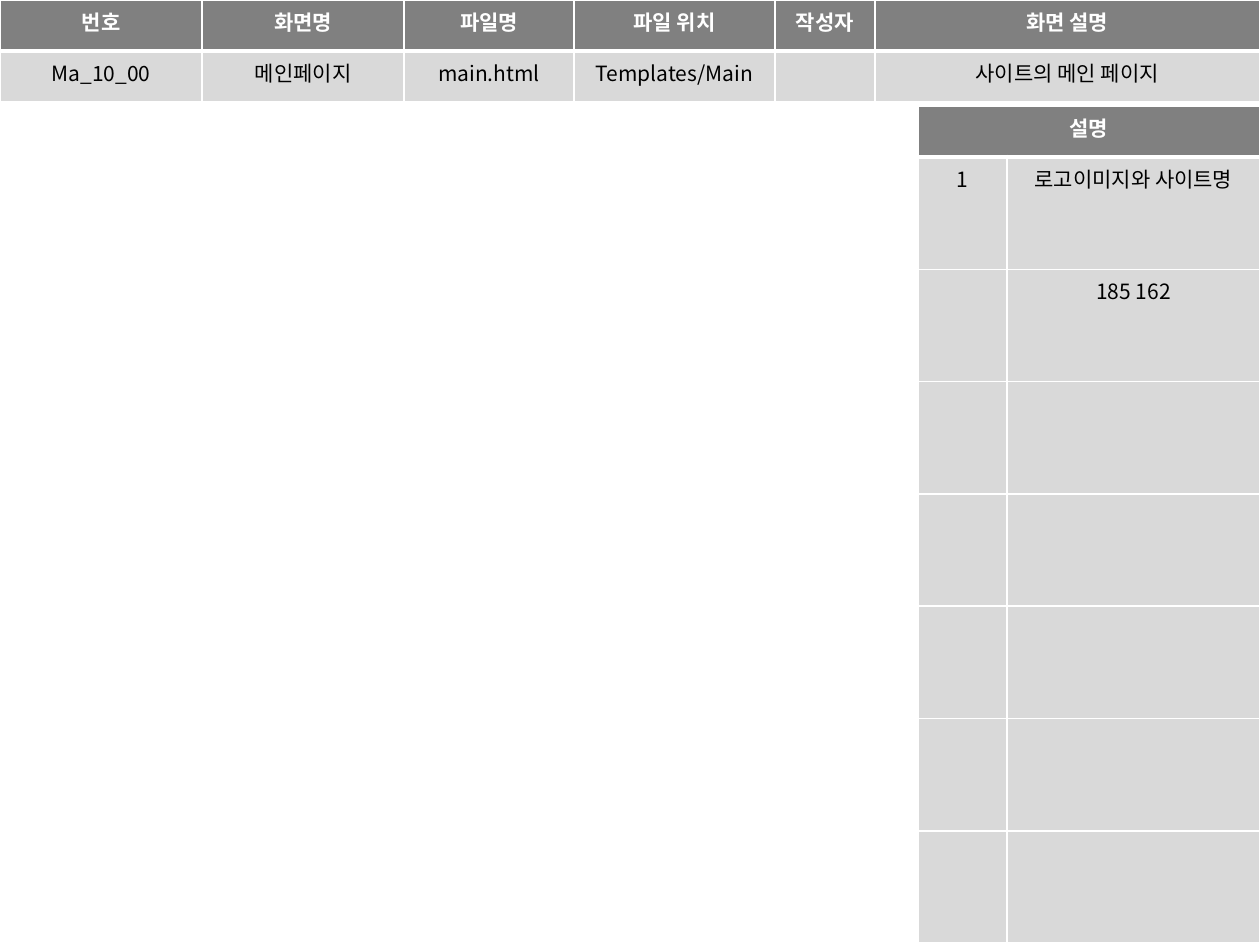
from lxml.etree import SubElement
from pptx import Presentation
from pptx.dml.color import RGBColor
from pptx.enum.text import PP_ALIGN as Align
from pptx.oxml.ns import qn
from pptx.util import Pt

FONT = "Noto Sans CJK KR"
WHITE, BLACK = "FFFFFF", "000000"
HEADER_GRAY, BODY_GRAY = "808080", "D9D9D9"
HEADER_HEIGHT = 29.2
TEXT_SIZE = 12


def color(hex_string):
    return RGBColor.from_string(hex_string)


def set_borders(cell, top, bottom):
    """Draw white borders, all 1 pt wide except the given top and bottom."""
    properties = cell._tc.get_or_add_tcPr()
    widths = {"a:lnL": 1, "a:lnR": 1, "a:lnT": top, "a:lnB": bottom}
    for tag, width in widths.items():
        line = SubElement(properties, qn(tag), w=str(Pt(width)))
        fill = SubElement(line, qn("a:solidFill"))
        SubElement(fill, qn("a:srgbClr"), val=WHITE)


def write_text(cell, text, is_header):
    paragraph = cell.text_frame.paragraphs[0]
    paragraph.alignment = Align.CENTER
    if not text:
        # The end mark keeps an empty cell from growing its row
        paragraph._p.get_or_add_endParaRPr().set("sz", str(TEXT_SIZE * 100))
        return
    run = paragraph.add_run()
    run.text = text
    formats = {"name": FONT, "size": Pt(TEXT_SIZE), "bold": is_header}
    for attribute, value in formats.items():
        setattr(run.font, attribute, value)
    run.font.color.rgb = color(WHITE if is_header else BLACK)
    SubElement(run.font._element, qn("a:ea"), typeface=FONT)


def format_cell(cell, text, row_index):
    is_header = row_index == 0
    write_text(cell, text, is_header)
    # Borders must come before the fill in the cell properties
    set_borders(cell, top=3 if row_index == 1 else 1,
                bottom=3 if is_header else 1)
    cell.fill.solid()
    cell.fill.fore_color.rgb = color(HEADER_GRAY if is_header else BODY_GRAY)


def add_gray_table(slide, left, top, column_widths, row_heights, texts):
    table = slide.shapes.add_table(
        len(row_heights), len(column_widths), Pt(left), Pt(top),
        Pt(sum(column_widths)), Pt(sum(row_heights))).table
    for column, width in zip(table.columns, column_widths):
        column.width = Pt(width)
    for row_index, row_texts in enumerate(texts):
        table.rows[row_index].height = Pt(row_heights[row_index])
        for column_index, text in enumerate(row_texts):
            format_cell(table.cell(row_index, column_index), text, row_index)
    return table


def main():
    presentation = Presentation()
    presentation.slide_width, presentation.slide_height = Pt(720), Pt(540)
    slide = presentation.slides.add_slide(presentation.slide_layouts[6])

    # Screen information across the top
    add_gray_table(
        slide, 0, 0, [115.5, 115.5, 97, 115, 57, 220], [HEADER_HEIGHT] * 2,
        [["번호", "화면명", "파일명", "파일 위치", "작성자", "화면 설명"],
         ["Ma_10_00", "메인페이지", "main.html", "Templates/Main", "",
          "사이트의 메인 페이지"]])

    # Description list on the right
    descriptions = [["설명", ""], ["1", "로고이미지와 사이트명"], ["", "185 162"]]
    descriptions += [["", ""]] * 5
    table = add_gray_table(
        slide, 524.5, 60.5, [51, 144.5], [HEADER_HEIGHT] + [64.2] * 7,
        descriptions)
    table.cell(0, 0).merge(table.cell(0, 1))

    presentation.save("out.pptx")


if __name__ == "__main__":
    main()
